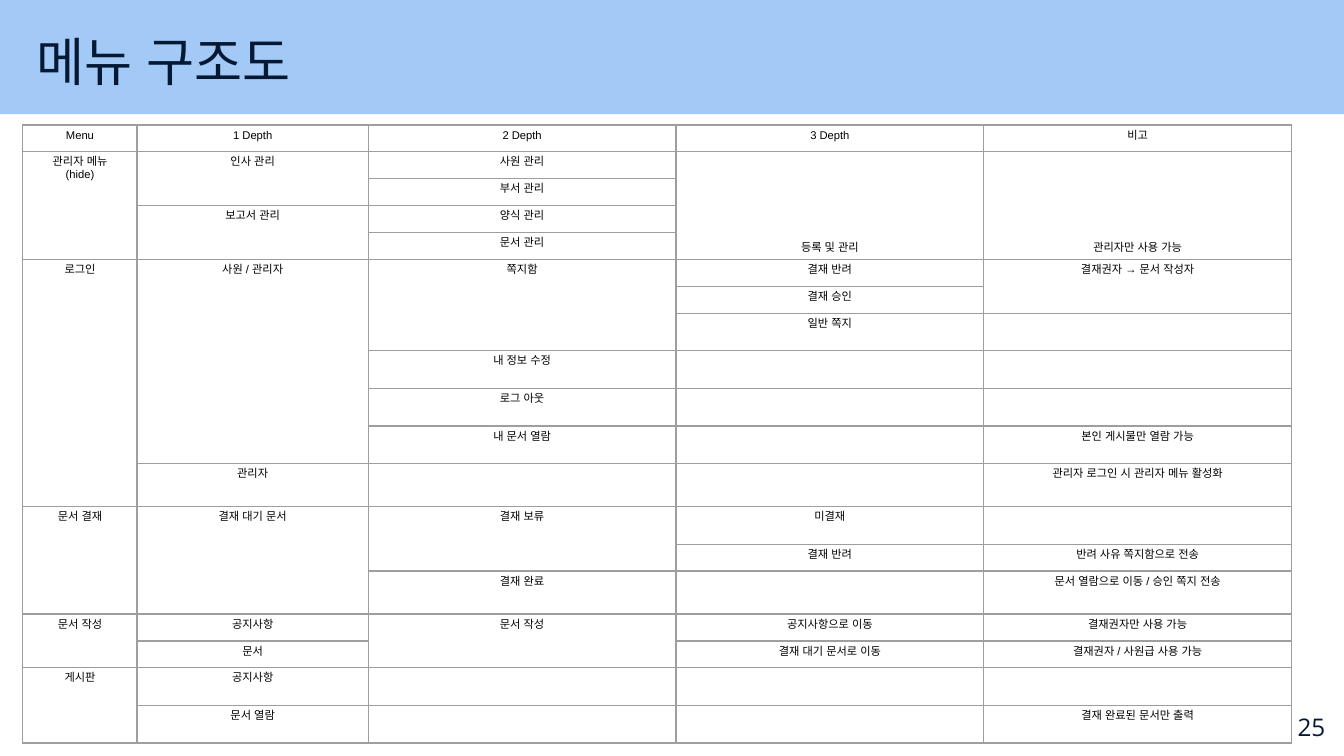
"""Build the menu structure slide: a title band and a table of merged menu levels."""
from lxml.etree import SubElement
from pptx import Presentation
from pptx.dml.color import RGBColor
from pptx.enum.shapes import MSO_SHAPE
from pptx.enum.text import MSO_ANCHOR, MSO_AUTO_SIZE, PP_ALIGN
from pptx.oxml.ns import qn
from pptx.util import Inches, Pt

BAND_BLUE = RGBColor(0xA3, 0xCA, 0xF7)
NAVY = RGBColor(0x05, 0x19, 0x34)
BLACK = RGBColor(0x00, 0x00, 0x00)
GREY = RGBColor(0x9E, 0x9E, 0x9E)

TITLE = "메뉴 구조도"
PAGE_NUMBER = "25"
LOW_TEXTS = {"등록 및 관리", "관리자만 사용 가능"}
COLUMNS = [
    (0.85, [("Menu", 1), ("관리자 메뉴\n(hide)", 4), ("로그인", 7), ("문서 결재", 3),
            ("문서 작성", 2), ("게시판", 2)]),
    (1.72, [("1 Depth", 1), ("인사 관리", 2), ("보고서 관리", 2), ("사원 / 관리자", 6),
            ("관리자", 1), ("결재 대기 문서", 3), ("공지사항", 1), ("문서", 1),
            ("공지사항", 1), ("문서 열람", 1)]),
    (2.29, [("2 Depth", 1), ("사원 관리", 1), ("부서 관리", 1), ("양식 관리", 1),
            ("문서 관리", 1), ("쪽지함", 3), ("내 정보 수정", 1), ("로그 아웃", 1),
            ("내 문서 열람", 1), ("", 1), ("결재 보류", 2), ("결재 완료", 1),
            ("문서 작성", 2), ("", 1), ("", 1)]),
    (2.29, [("3 Depth", 1), ("등록 및 관리", 4), ("결재 반려", 1), ("결재 승인", 1),
            ("일반 쪽지", 1), ("", 1), ("", 1), ("", 1), ("", 1), ("미결재", 1),
            ("결재 반려", 1), ("", 1), ("공지사항으로 이동", 1),
            ("결재 대기 문서로 이동", 1), ("", 1), ("", 1)]),
    (2.29, [("비고", 1), ("관리자만 사용 가능", 4), ("결재권자 → 문서 작성자", 2), ("", 1),
            ("", 1), ("", 1), ("본인 게시물만 열람 가능", 1),
            ("관리자 로그인 시 관리자 메뉴 활성화", 1), ("", 1),
            ("반려 사유 쪽지함으로 전송", 1), ("문서 열람으로 이동 / 승인 쪽지 전송", 1),
            ("결재권자만 사용 가능", 1), ("결재권자 / 사원급 사용 가능", 1), ("", 1),
            ("결재 완료된 문서만 출력", 1)]),
]
ROW_HEIGHTS = [0.2] * 7 + [0.28] * 4 + [0.32, 0.28, 0.2, 0.32, 0.2, 0.2, 0.28, 0.28]
SLIDE_WIDTH = Inches(10)
SLIDE_HEIGHT = SLIDE_WIDTH * 9 // 16
CELL_FORMAT = {"margin_left": Inches(0.06), "margin_right": Inches(0.06),
               "margin_top": Inches(0.03), "margin_bottom": Inches(0.03)}
FRAME_FORMAT = {"margin_left": Inches(0.1), "margin_right": Inches(0.1),
                "margin_top": Inches(0.1), "margin_bottom": Inches(0.1),
                "word_wrap": True, "auto_size": MSO_AUTO_SIZE.NONE}


def apply_format(target, values):
    for name, value in values.items():
        setattr(target, name, value)


def style_paragraph(para, align, size, font_name, color):
    para.alignment = align
    for span in para.runs:
        apply_format(span.font, {"size": Pt(size), "name": font_name})
        span.font.color.rgb = color
        SubElement(span._r.get_or_add_rPr(), qn("a:ea"), typeface=font_name)


def fill_frame(box, text, anchor, align, size, font_name):
    frame = box.text_frame
    frame.text = text
    apply_format(frame, {**FRAME_FORMAT, "vertical_anchor": anchor})
    style_paragraph(frame.paragraphs[0], align, size, font_name, NAVY)


def style_cell(cell):
    apply_format(cell, CELL_FORMAT)
    properties = cell._tc.get_or_add_tcPr()
    for side in ("a:lnL", "a:lnR", "a:lnT", "a:lnB"):
        line = SubElement(properties, qn(side), w=str(Pt(0.75)))
        solid = SubElement(line, qn("a:solidFill"))
        SubElement(solid, qn("a:srgbClr"), val=str(GREY))
    cell.fill.background()
    for para in cell.text_frame.paragraphs:
        style_paragraph(para, PP_ALIGN.CENTER, 6, "Arial", BLACK)
        SubElement(para._p, qn("a:endParaRPr"), sz="600")


def add_menu_table(page):
    width = sum(column_width for column_width, _ in COLUMNS)
    frame = page.shapes.add_table(
        len(ROW_HEIGHTS), len(COLUMNS), Inches(0.17), Inches(0.93),
        Inches(width), Inches(sum(ROW_HEIGHTS)))
    table = frame.table
    apply_format(table, {"first_row": False, "horz_banding": False})
    for row, height in zip(table.rows, ROW_HEIGHTS):
        row.height = Inches(height)
    for column, (column_width, entries) in enumerate(COLUMNS):
        table.columns[column].width = Inches(column_width)
        top = 0
        for text, rows in entries:
            cell = table.cell(top, column)
            cell.text = text
            if rows > 1:
                cell.merge(table.cell(top + rows - 1, column))
            top += rows
    for cell in table.iter_cells():
        style_cell(cell)
        if cell.text in LOW_TEXTS:
            apply_format(cell, {"vertical_anchor": MSO_ANCHOR.BOTTOM,
                                "margin_bottom": Inches(0.04)})


def main():
    deck = Presentation()
    apply_format(deck, {"slide_width": SLIDE_WIDTH, "slide_height": SLIDE_HEIGHT})
    page = deck.slides.add_slide(deck.slide_layouts[5])

    band = page.shapes.add_shape(MSO_SHAPE.RECTANGLE, 0, 0, SLIDE_WIDTH, Inches(0.85))
    band.shadow.inherit = False
    band.fill.solid()
    band.fill.fore_color.rgb = BAND_BLUE
    band.line.fill.background()

    title = page.shapes.title
    band._element.addnext(title._element)
    apply_format(title, {"left": Inches(0.17), "top": Inches(0.12),
                         "width": Inches(7.73), "height": Inches(0.63)})
    fill_frame(title, TITLE, MSO_ANCHOR.TOP, PP_ALIGN.LEFT, 28, "Arial")

    number = page.shapes.add_textbox(Inches(9.36), Inches(5.19), Inches(0.6), Inches(0.43))
    fill_frame(number, PAGE_NUMBER, MSO_ANCHOR.MIDDLE, PP_ALIGN.RIGHT, 13, "Open Sans")

    add_menu_table(page)
    deck.save("out.pptx")


if __name__ == "__main__":
    main()
